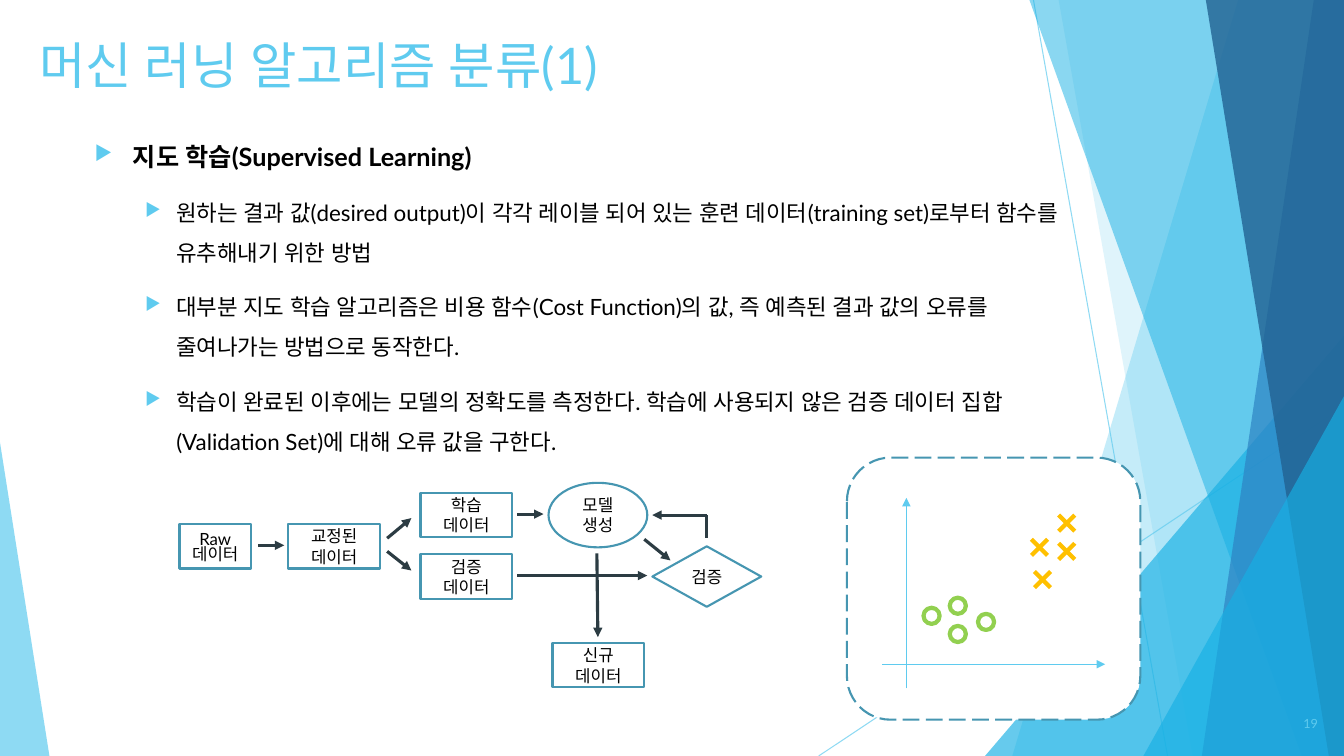
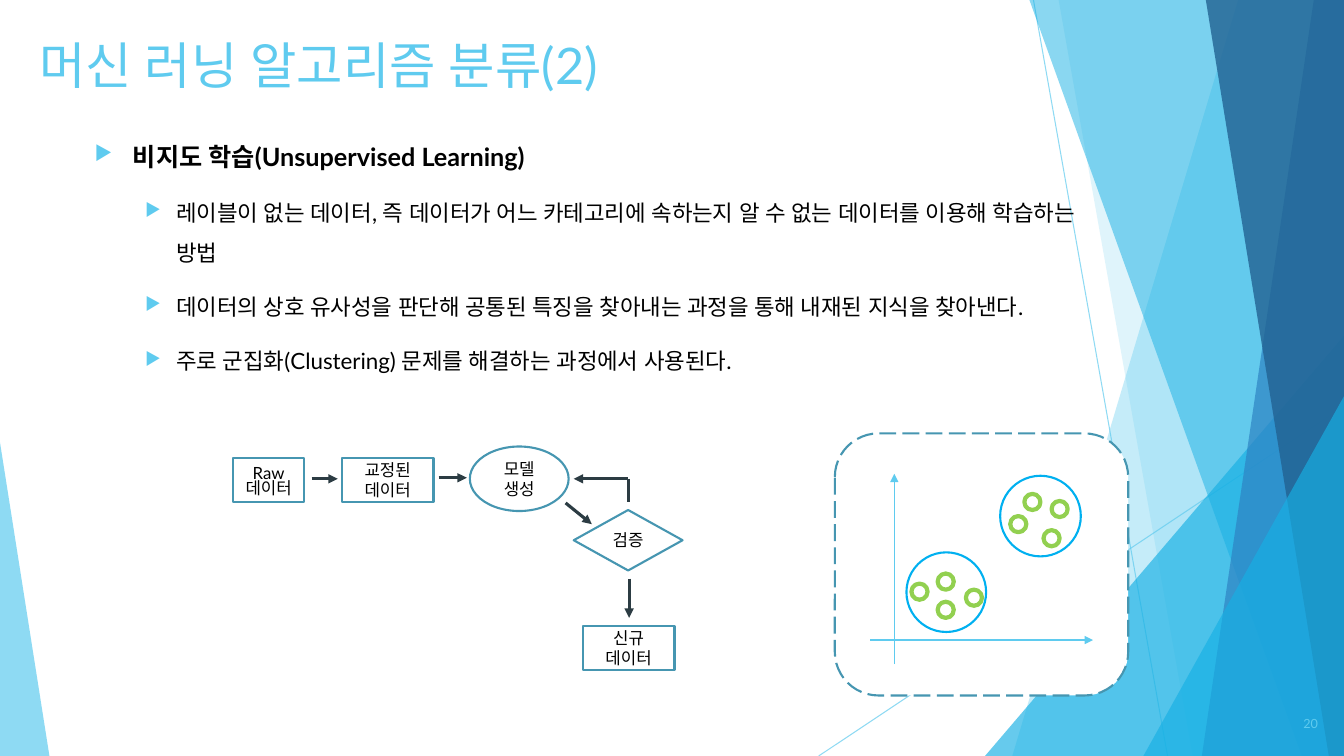
"""Build two slides on supervised and unsupervised machine learning."""
from dataclasses import dataclass
from typing import Any, NamedTuple

from lxml.etree import SubElement
from pptx import Presentation
from pptx.dml.color import RGBColor
from pptx.enum.dml import MSO_LINE_DASH_STYLE as Dash
from pptx.enum.lang import MSO_LANGUAGE_ID as Language
from pptx.enum.shapes import MSO_AUTO_SHAPE_TYPE as Preset, MSO_CONNECTOR_TYPE as Connector
from pptx.enum.text import MSO_VERTICAL_ANCHOR as Anchor, PP_PARAGRAPH_ALIGNMENT as Align
from pptx.oxml.ns import qn
from pptx.util import Pt

PX = 9144
WIDTH, HEIGHT = 1333, 750
FONT = "Lato"
BULLET_FONT = "OpenSymbol"
BLACK = RGBColor(0x00, 0x00, 0x00)
WHITE = RGBColor(0xFF, 0xFF, 0xFF)
SKY = RGBColor(0x5F, 0xCB, 0xEF)
CYAN = RGBColor(0x17, 0xB0, 0xE4)
BLUE = RGBColor(0x2E, 0x83, 0xC3)
NAVY = RGBColor(0x22, 0x62, 0x92)
TEAL = RGBColor(0x46, 0x96, 0xB1)
SLATE = RGBColor(0x2C, 0x3C, 0x43)
GREEN = RGBColor(0x92, 0xD0, 0x50)
AMBER = RGBColor(0xFF, 0xC0, 0x00)
RING_BLUE = RGBColor(0x00, 0xB0, 0xF0)

TITLE = {"size": Pt(36), "color": SKY}
HEADING = {"size": Pt(18), "color": BLACK, "bold": True}
POINT = {"size": Pt(16), "color": BLACK, "bold": False}
LABEL = {"size": Pt(12), "color": BLACK}
NUMBER = {"size": Pt(9), "color": SKY}


class Spot(NamedTuple):
    x: int
    y: int


class Area(NamedTuple):
    x: int
    y: int
    width: int
    height: int


class Stroke(NamedTuple):
    color: RGBColor
    points: float
    dash: Any = None


class Segment(NamedTuple):
    x1: int
    y1: int
    x2: int
    y2: int
    arrow: bool = True


class Band(NamedTuple):
    top_left: int
    bottom_left: int
    color: RGBColor
    opacity: int


class Wedge(NamedTuple):
    area: Area
    apex: int
    color: RGBColor
    opacity: int


class NodeStyle(NamedTuple):
    preset: Any
    width: int
    height: int


class Node(NamedTuple):
    x: int
    y: int
    style: NodeStyle
    lines: tuple[str, ...]
    second_spacing: float | None = None


class Ring(NamedTuple):
    x: int
    y: int
    size: int


@dataclass(frozen=True)
class Topic:
    number: int
    title: str
    heading: str
    points: tuple[str, ...]
    body_width: int
    panel: Spot
    source: Spot
    cycle: Spot
    nodes: tuple[Node, ...]
    arrows: tuple[Segment, ...]
    dots: tuple[Spot, ...]
    crosses: tuple[Spot, ...] = ()
    rings: tuple[Ring, ...] = ()


RAW = NodeStyle(Preset.RECTANGLE, 71, 44)
BOX = NodeStyle(Preset.RECTANGLE, 91, 44)
OVAL = NodeStyle(Preset.OVAL, 98, 64)
DECISION = NodeStyle(Preset.FLOWCHART_DECISION, 108, 60)

OUTLINE = Stroke(TEAL, 1.5)
FRAME = Stroke(TEAL, 1.5, Dash.LONG_DASH)
FLOW = Stroke(SLATE, 2.25)
AXIS = Stroke(SKY, 1)
HAIRLINE = Stroke(SKY, 0.75)
DOT = Stroke(GREEN, 3)
CROSS = Stroke(AMBER, 3)
CLUSTER = Stroke(RING_BLUE, 1.5)
MARK = 16

RAYS = (Segment(1025, 0, 1158, HEIGHT, False), Segment(WIDTH, 403, 812, HEIGHT, False))
BACKDROP = (
    Band(1228, 1004, SKY, 36),
    Band(1050, 1183, SKY, 20),
    Wedge(Area(977, 333, 356, 417), 1, CYAN, 66),
    Band(1021, 1291, CYAN, 50),
    Band(1303, 1192, BLUE, 70),
    Band(1196, 1318, NAVY, 80),
    Wedge(Area(1134, 393, 199, 357), 1, CYAN, 66),
    Wedge(Area(0, 439, 49, 311), 0, SKY, 70),
)
SOURCE_NODES = (Node(0, 0, RAW, ("Raw", "데이터"), 0.7), Node(108, 0, BOX, ("교정된", "데이터")))
SOURCE_ARROWS = (Segment(78, 21, 104, 21),)
CYCLE_NODES = (Node(0, 0, OVAL, ("모델", "생성")), Node(103, 63, DECISION, ("검증",)))
CYCLE_ARROWS = (
    Segment(157, 32, 103, 32),
    Segment(157, 32, 157, 55, False),
    Segment(95, 56, 121, 77),
)
AXES = (Segment(35, 205, 256, 205), Segment(59, 229, 59, 40))
LOWER_DOTS = (Spot(102, 139), Spot(102, 167), Spot(130, 155), Spot(76, 149))
UPPER_DOTS = (Spot(188, 60), Spot(207, 96), Spot(215, 67), Spot(174, 82))

TOPICS = (
    Topic(
        19, "머신 러닝 알고리즘 분류(1)", "지도 학습(Supervised Learning)",
        (
            "원하는 결과 값(desired output)이 각각 레이블 되어 있는 훈련 데이터(training set)로부터 함수를 유추해내기 위한 방법",
            "대부분 지도 학습 알고리즘은 비용 함수(Cost Function)의 값, 즉 예측된 결과 값의 오류를 줄여나가는 방법으로 동작한다.",
            "학습이 완료된 이후에는 모델의 정확도를 측정한다. 학습에 사용되지 않은 검증 데이터 집합(Validation Set)에 대해 오류 값을 구한다.",
        ),
        1008, panel=Spot(840, 454), source=Spot(178, 520), cycle=Spot(544, 479),
        nodes=(
            Node(417, 489, BOX, ("학습", "데이터")),
            Node(417, 550, BOX, ("검증", "데이터")),
            Node(548, 638, BOX, ("신규", "데이터")),
        ),
        arrows=(
            Segment(384, 534, 408, 514),
            Segment(384, 547, 408, 566),
            Segment(513, 510, 539, 510),
            Segment(513, 571, 642, 571),
            Segment(592, 549, 593, 632),
        ),
        dots=LOWER_DOTS,
        crosses=(Spot(210, 57), Spot(210, 85), Spot(186, 113), Spot(183, 81)),
    ),
    Topic(
        20, "머신 러닝 알고리즘 분류(2)", "비지도 학습(Unsupervised Learning)",
        (
            "레이블이 없는 데이터, 즉 데이터가 어느 카테고리에 속하는지 알 수 없는 데이터를 이용해 학습하는 방법",
            "데이터의 상호 유사성을 판단해 공통된 특징을 찾아내는 과정을 통해 내재된 지식을 찾아낸다.",
            "주로 군집화(Clustering) 문제를 해결하는 과정에서 사용된다.",
        ),
        1030, panel=Spot(828, 430), source=Spot(231, 454), cycle=Spot(466, 443),
        nodes=(Node(578, 621, BOX, ("신규", "데이터")),),
        arrows=(Segment(435, 474, 463, 474), Segment(624, 574, 624, 613)),
        dots=LOWER_DOTS + UPPER_DOTS,
        rings=(Ring(164, 42, 80), Ring(71, 118, 79)),
    ),
)


def assign(target: Any, values: dict[str, Any]) -> None:
    for name, value in values.items():
        setattr(target, name, value)


def set_opacity(shape: Any, percent: int) -> None:
    for color in shape.element.spPr.iter(qn("a:srgbClr")):
        SubElement(color, qn("a:alpha"), val=str(percent * 1000))


def set_stroke(line: Any, stroke: Stroke) -> None:
    line.color.rgb = stroke.color
    assign(line, {"width": Pt(stroke.points), "dash_style": stroke.dash})


def add_line(page: Any, segment: Segment, stroke: Stroke, origin: Spot = Spot(0, 0)) -> Any:
    ends = (origin.x + segment.x1, origin.y + segment.y1, origin.x + segment.x2, origin.y + segment.y2)
    line = page.shapes.add_connector(Connector.STRAIGHT, *(value * PX for value in ends))
    set_stroke(line.line, stroke)
    if segment.arrow:
        SubElement(line.line._get_or_add_ln(), qn("a:tailEnd"), type="triangle")
    SubElement(line.element.spPr, qn("a:effectLst"))
    return line


def paint(shape: Any, fill: RGBColor | None, stroke: Stroke | None) -> None:
    shape.shadow.inherit = False
    if fill is None:
        shape.fill.background()
    else:
        shape.fill.solid()
        shape.fill.fore_color.rgb = fill
    if stroke is None:
        shape.line.fill.background()
    else:
        set_stroke(shape.line, stroke)


def add_preset(page: Any, preset: Any, area: Area, fill: RGBColor | None = None,
               stroke: Stroke | None = None) -> Any:
    shape = page.shapes.add_shape(preset, *(value * PX for value in area))
    paint(shape, fill, stroke)
    return shape


def write(para: Any, text: str, style: dict[str, Any], layout: dict[str, Any]) -> None:
    assign(para, layout)
    span = para.add_run()
    span.text = text
    common = {"name": FONT, "language_id": Language.KOREAN}
    assign(span.font, common | {key: value for key, value in style.items() if key != "color"})
    span.font.color.rgb = style["color"]
    SubElement(span.font._element, qn("a:ea"), typeface=FONT)


def next_para(frame: Any, index: int) -> Any:
    return frame.add_paragraph() if index else frame.paragraphs[0]


def add_text(page: Any, area: Area, anchor: Any = Anchor.TOP) -> Any:
    frame = page.shapes.add_textbox(*(value * PX for value in area)).text_frame
    assign(frame, {"word_wrap": True, "vertical_anchor": anchor})
    return frame


def add_bullet(para: Any, margin: int, hanging: int) -> None:
    props = para._p.get_or_add_pPr()
    props.set("marL", str(margin * PX))
    props.set("indent", str(-hanging * PX))
    SubElement(SubElement(props, qn("a:buClr")), qn("a:srgbClr"), val=str(SKY))
    SubElement(props, qn("a:buSzPct"), val="80000")
    SubElement(props, qn("a:buFont"), typeface=BULLET_FONT)
    SubElement(props, qn("a:buChar"), char="▶")


def add_backdrop(page: Any) -> None:
    for ray in RAYS:
        set_opacity(add_line(page, ray, HAIRLINE), 70)
    for part in BACKDROP:
        if isinstance(part, Band):
            outline = page.shapes.build_freeform(part.top_left, 0, scale=PX)
            outline.add_line_segments([(WIDTH, 0), (WIDTH, HEIGHT), (part.bottom_left, HEIGHT)])
            shape = outline.convert_to_shape()
            paint(shape, part.color, None)
        else:
            shape = add_preset(page, Preset.ISOSCELES_TRIANGLE, part.area, part.color)
            shape.adjustments[0] = part.apex
        set_opacity(shape, part.opacity)


def add_copy(page: Any, topic: Topic) -> None:
    write(add_text(page, Area(29, 29, 940, 92)).paragraphs[0], topic.title, TITLE, {})
    body = add_text(page, Area(84, 120, topic.body_width, 506))
    for index, text in enumerate((topic.heading, *topic.points)):
        para = next_para(body, index)
        add_bullet(para, *((81, 31) if index else (38, 38)))
        layout = {"level": 1, "space_before": Pt(10)} if index else {}
        write(para, text, POINT if index else HEADING, {"line_spacing": 1.5} | layout)
    number = add_text(page, Area(1242, 698, 75, 40), Anchor.MIDDLE)
    write(number.paragraphs[0], str(topic.number), NUMBER, {"alignment": Align.RIGHT})


def add_flow(page: Any, nodes: tuple[Node, ...], arrows: tuple[Segment, ...], origin: Spot) -> None:
    for node in nodes:
        area = Area(origin.x + node.x, origin.y + node.y, node.style.width, node.style.height)
        frame = add_preset(page, node.style.preset, area, stroke=OUTLINE).text_frame
        assign(frame, {"word_wrap": True, "vertical_anchor": Anchor.MIDDLE})
        for index, text in enumerate(node.lines):
            layout = {"alignment": Align.CENTER, "line_spacing": node.second_spacing if index else None}
            write(next_para(frame, index), text, LABEL, layout)
    for arrow in arrows:
        add_line(page, arrow, FLOW, origin)


def add_plot(page: Any, topic: Topic) -> None:
    left, top = topic.panel
    for axis in AXES:
        add_line(page, axis, AXIS, topic.panel)
    circles = [(Ring(*dot, MARK), DOT) for dot in topic.dots] + [(ring, CLUSTER) for ring in topic.rings]
    for ring, stroke in circles:
        add_preset(page, Preset.OVAL, Area(left + ring.x, top + ring.y, ring.size, ring.size), stroke=stroke)
    for x, y in topic.crosses:
        for start, end in ((y, y + MARK), (y + MARK, y)):
            add_line(page, Segment(x, start, x + MARK, end, False), CROSS, topic.panel)


def main() -> None:
    deck = Presentation()
    assign(deck, {"slide_width": WIDTH * PX, "slide_height": HEIGHT * PX})
    for topic in TOPICS:
        page = deck.slides.add_slide(deck.slide_layouts[6])
        add_backdrop(page)
        add_preset(page, Preset.ROUNDED_RECTANGLE, Area(*topic.panel, 291, 260), WHITE, FRAME)
        add_copy(page, topic)
        add_plot(page, topic)
        add_flow(page, SOURCE_NODES, SOURCE_ARROWS, topic.source)
        add_flow(page, CYCLE_NODES, CYCLE_ARROWS, topic.cycle)
        add_flow(page, topic.nodes, topic.arrows, Spot(0, 0))
    deck.save("out.pptx")


if __name__ == "__main__":
    main()
